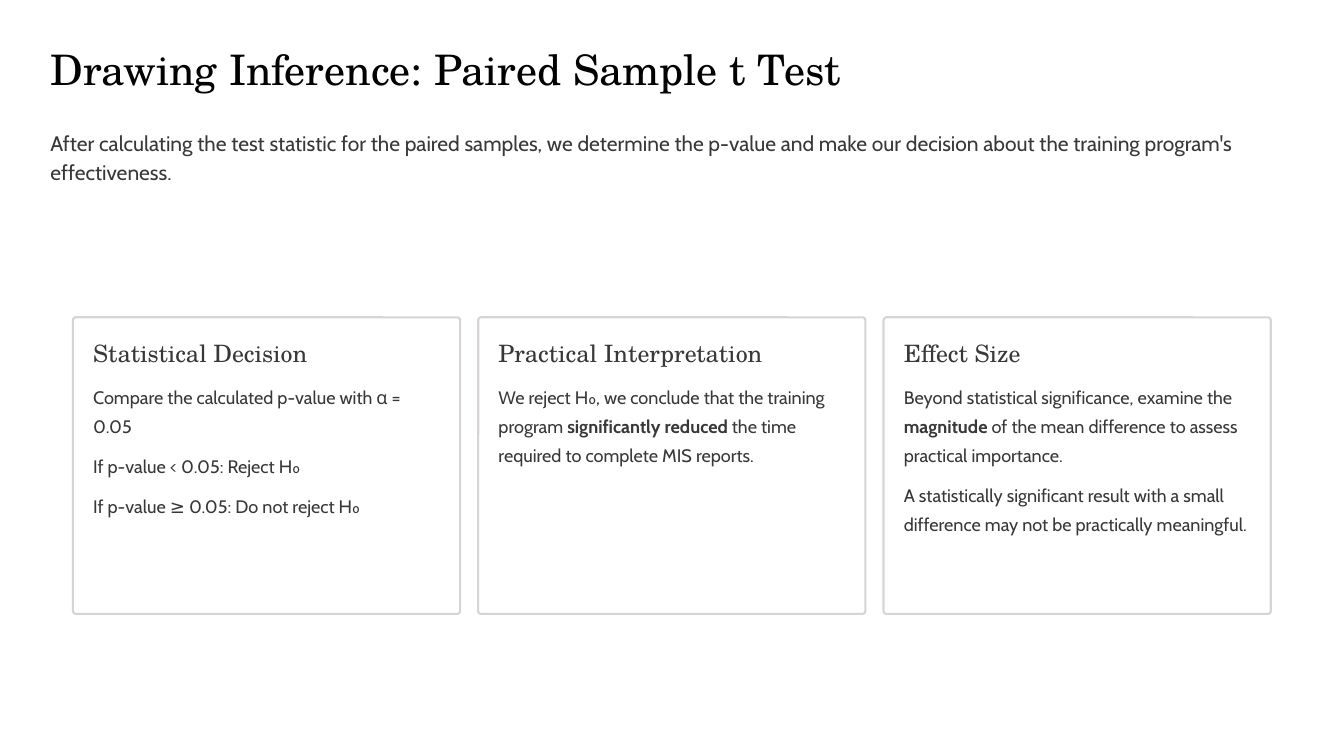
from pptx import Presentation
from pptx.dml.color import RGBColor as RGB
from pptx.enum.shapes import MSO_SHAPE as Shape
from pptx.util import Pt

SERIF, SANS = "TeX Gyre Schola", "Cabin"
BLACK = RGB(0x02, 0x02, 0x02)
GREY = RGB(0x38, 0x38, 0x38)
EDGE = RGB(0xD8, 0xD4, 0xD4)
WHITE = RGB(0xFF, 0xFF, 0xFF)

# Slide and card geometry in points
WIDE, HIGH = 1152, 648
LEFT, TOP, WIDTH, HEIGHT = 62.5, 272, 331.9, 254.2
PITCH, INSET, INNER = 347.4, 17.4, 297.4
LINE, GAP = 25, 9.4

# Heading and body texts with their line counts; ** marks bold
CARDS = [
    ("Statistical Decision", [
        (2, "Compare the calculated p-value with α = 0.05"),
        (1, "If p-value < 0.05: Reject H₀"),
        (1, "If p-value ≥ 0.05: Do not reject H₀")]),
    ("Practical Interpretation", [
        (4, "We reject H₀, we conclude that the training program "
            "**significantly reduced** the time required to complete "
            "MIS reports.")]),
    ("Effect Size", [
        (3, "Beyond statistical significance, examine the **magnitude** "
            "of the mean difference to assess practical importance."),
        (3, "A statistically significant result with a small difference "
            "may not be practically meaningful.")]),
]


def add_text(slide, box, text, size, font, color, line=LINE):
    frame = slide.shapes.add_textbox(*map(Pt, box)).text_frame
    frame.word_wrap = True
    frame.margin_left = frame.margin_right = 0
    frame.margin_top = frame.margin_bottom = 0
    para = frame.paragraphs[0]
    para.line_spacing = Pt(line)
    first, *rest = text.split("**")
    para.text = first
    for part in rest:
        para.add_run().text = part
    for i, run in enumerate(para.runs):
        run.font.name, run.font.size = font, Pt(size)
        run.font.color.rgb = color
        run.font.bold = i % 2 == 1


def add_panel(slide, kind, box):
    panel = slide.shapes.add_shape(kind, *map(Pt, box))
    panel.shadow.inherit = False
    panel.fill.solid()
    panel.fill.fore_color.rgb = WHITE
    panel.line.fill.background()
    return panel


def add_card(slide, left, head, body):
    # Frame
    card = add_panel(slide, Shape.ROUNDED_RECTANGLE,
                     (left, TOP, WIDTH, HEIGHT))
    card.adjustments[0] = 0.01
    card.line.color.rgb = EDGE
    card.line.width = Pt(1.8)

    # Heading and body
    left += INSET
    add_text(slide, (left, TOP + INSET, INNER, 26), head,
             20.5, SERIF, GREY, 25.5)
    top = TOP + 52.5
    for count, text in body:
        high = count * LINE
        add_text(slide, (left, top, INNER, high), text, 15.5, SANS, GREY)
        top += high + GAP


def main():
    deck = Presentation()
    deck.slide_width, deck.slide_height = Pt(WIDE), Pt(HIGH)
    slide = deck.slides.add_slide(deck.slide_layouts[6])

    # White page
    add_panel(slide, Shape.RECTANGLE, (0, 0, WIDE, HIGH))

    # Title and introduction
    add_text(slide, (43.2, 29.8, 732.2, 51),
             "Drawing Inference: Paired Sample t Test",
             36, SERIF, BLACK, 51)
    add_text(slide, (43.2, 108.7, 1026.7, 50),
             "After calculating the test statistic for the paired samples, "
             "we determine the p-value and make our decision about the "
             "training program's effectiveness.", 18, SANS, GREY)

    # Cards
    for i, card in enumerate(CARDS):
        add_card(slide, LEFT + i * PITCH, *card)
    deck.save("out.pptx")


if __name__ == "__main__":
    main()
